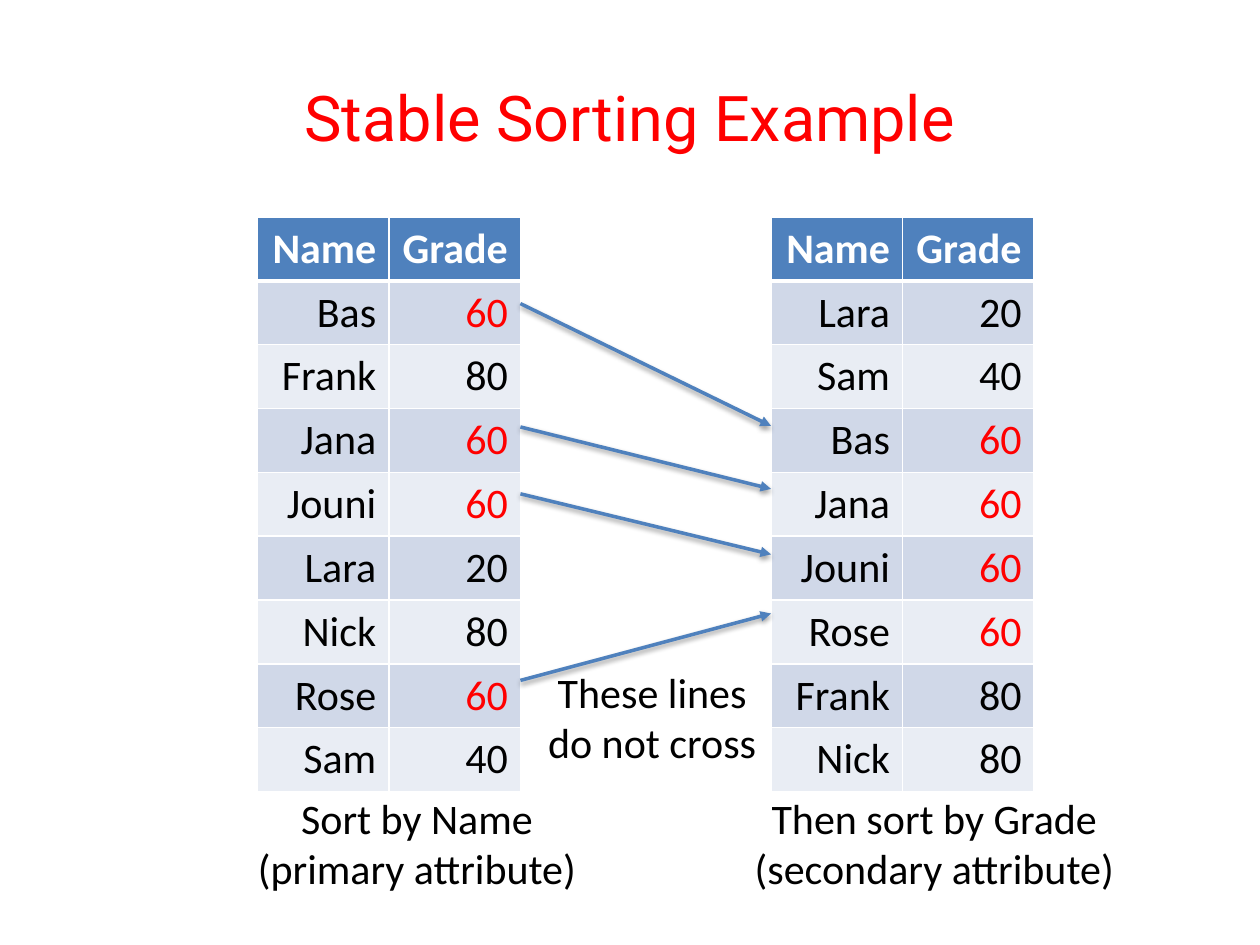
"""Build a slide showing that a stable sort keeps equal grades in name order."""
from lxml import etree
from pptx import Presentation
from pptx import util as u
from pptx.dml.color import RGBColor
from pptx.enum import shapes, text
from pptx.oxml import ns, parse_xml

COLORS = {"accent": "4F81BD", "odd": "D0D8E8", "even": "E9EDF4",
          "white": "FFFFFF", "black": "000000", "red": "FF0000"}
HEADER = ("Name", "Grade")
BY_NAME = [("Bas", 60), ("Frank", 80), ("Jana", 60), ("Jouni", 60),
           ("Lara", 20), ("Nick", 80), ("Rose", 60), ("Sam", 40)]
BY_GRADE = sorted(BY_NAME, key=lambda student: student[1])
TIED_GRADE = 60
LEFT_X, RIGHT_X, TABLE_Y = 147, 440.6, 124
COLUMN_W, ROW_H = 75.2, 36.5
ARROW_YS = [(173.5, 243.4), (244, 279.4), (282.2, 316.8), (388.8, 350.6)]
CAPTIONS = [
    ("Sort by Name\n(primary attribute)", (137.5, 449.3, 201.6, 65.5)),
    ("Then sort by Grade\n(secondary attribute)", (417.6, 449.3, 232.6, 65.5)),
    ("These lines do not cross", (297.4, 377.3, 150.5, 65.5)),
]
TITLE = ("Stable Sorting Example", (36, 21.6, 648, 90))


def rgb(name):
    return RGBColor.from_string(COLORS[name])


def write(frame, words, color="black", size=24, font="Calibri", bold=False,
          align=text.PP_ALIGN.CENTER):
    frame.text = words
    for paragraph in frame.paragraphs:
        paragraph.alignment = align
        for run in paragraph.runs:
            run.font.size, run.font.name, run.font.bold = u.Pt(size), font, bold
            run.font.color.rgb = rgb(color)


def add_label(slide, words, box, anchor=text.MSO_ANCHOR.TOP, **style):
    frame = slide.shapes.add_textbox(*map(u.Pt, box)).text_frame
    frame.word_wrap = True
    frame.vertical_anchor = anchor
    write(frame, words, **style)


def add_borders(cell, widths):
    properties = cell._tc.get_or_add_tcPr()
    for side, width in widths.items():
        line = etree.SubElement(properties, ns.qn(f"a:ln{side}"), w=str(u.Pt(width)))
        fill = etree.SubElement(line, ns.qn("a:solidFill"))
        etree.SubElement(fill, ns.qn("a:srgbClr"), val=COLORS["white"])


def add_grades(slide, left, students):
    rows = [HEADER, *students]
    box = (left, TABLE_Y, COLUMN_W * len(HEADER), ROW_H * len(rows))
    grades = slide.shapes.add_table(len(rows), len(HEADER), *map(u.Pt, box)).table
    for column in grades.columns:
        column.width = u.Pt(COLUMN_W)
    for r, row in enumerate(rows):
        grades.rows[r].height = u.Pt(ROW_H)
        for c, value in enumerate(row):
            cell = grades.cell(r, c)
            color = "white" if r == 0 else "red" if value == TIED_GRADE else "black"
            write(cell.text_frame, str(value), color, bold=r == 0,
                  align=text.PP_ALIGN.RIGHT)
            add_borders(cell, {"L": 1, "R": 1, "T": 3 if r == 1 else 1,
                               "B": 3 if r == 0 else 1})
            cell.fill.solid()
            cell.fill.fore_color.rgb = rgb(
                "accent" if r == 0 else "odd" if r % 2 else "even")


def add_arrow(slide, start_y, end_y):
    start_x = LEFT_X + COLUMN_W * len(HEADER)
    arrow = slide.shapes.add_connector(
        shapes.MSO_CONNECTOR.STRAIGHT, *map(u.Pt, (start_x, start_y, RIGHT_X, end_y)))
    arrow.line.width = u.Pt(2)
    arrow.line.color.rgb = rgb("accent")
    etree.SubElement(arrow.line._get_or_add_ln(), ns.qn("a:tailEnd"), type="triangle")
    arrow._element.spPr.append(parse_xml(
        f'<a:effectLst {ns.nsdecls("a")}><a:outerShdw blurRad="{u.Pt(3.1)}" '
        f'dist="{u.Pt(1.6)}" dir="5400000" rotWithShape="0">'
        f'<a:srgbClr val="{COLORS["black"]}"><a:alpha val="38000"/></a:srgbClr>'
        '</a:outerShdw></a:effectLst>'))


def main():
    deck = Presentation()
    deck.slide_width, deck.slide_height = u.Pt(720), u.Pt(540)
    slide = deck.slides.add_slide(deck.slide_layouts[6])
    add_label(slide, *TITLE, anchor=text.MSO_ANCHOR.MIDDLE,
              color="red", size=36, font="Roboto")
    add_grades(slide, LEFT_X, BY_NAME)
    add_grades(slide, RIGHT_X, BY_GRADE)
    for start_y, end_y in ARROW_YS:
        add_arrow(slide, start_y, end_y)
    for words, box in CAPTIONS:
        add_label(slide, words, box)
    deck.save("out.pptx")


if __name__ == "__main__":
    main()
